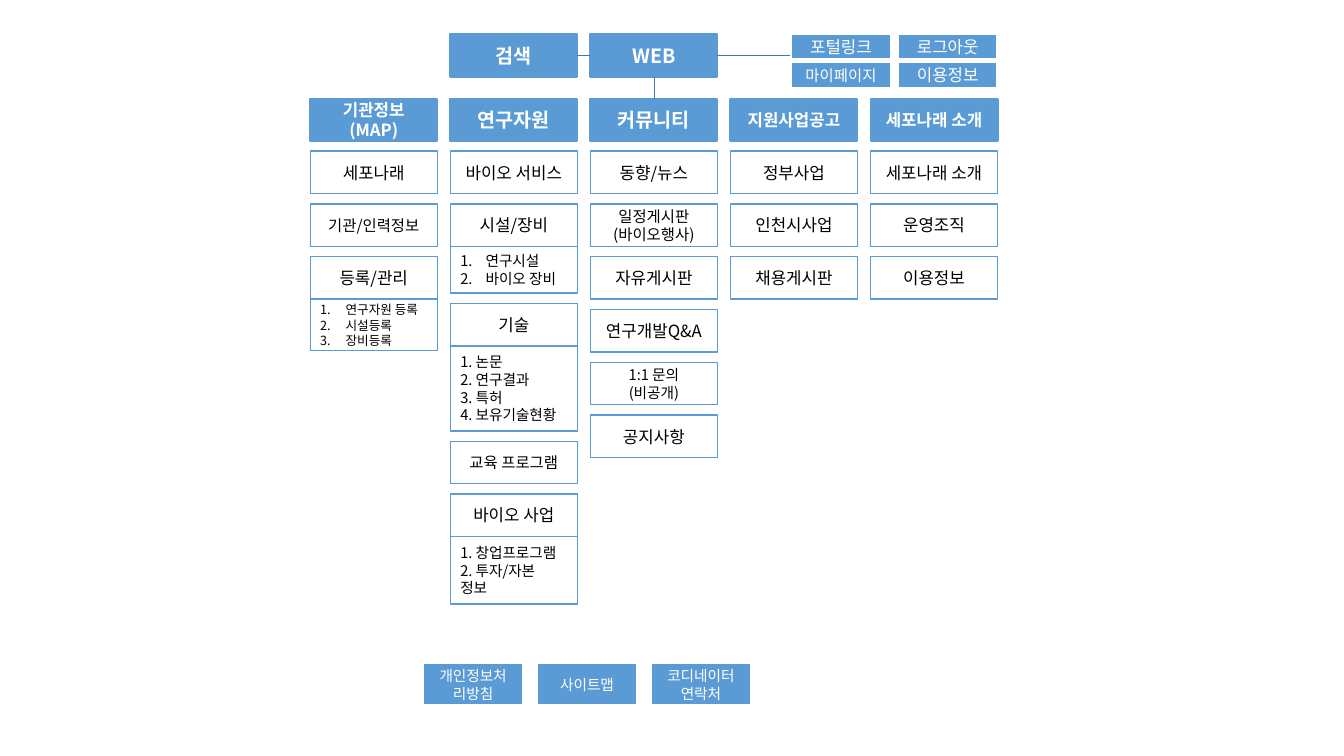
from lxml.etree import SubElement
from pptx import Presentation
from pptx.dml.color import RGBColor
from pptx.enum.shapes import MSO_CONNECTOR, MSO_SHAPE
from pptx.enum.text import MSO_ANCHOR, PP_ALIGN
from pptx.oxml.ns import qn
from pptx.util import Cm, Pt

FONT = "Noto Sans CJK KR"
COLORS = {"blue": "5B9BD5", "white": "FFFFFF", "black": "000000", "link": "4472C4"}

# Each box: (lines, text size); each list: (lines, text size, height, numbered)
ROOTS = [("검색", 1), ("WEB", 2)]
COLUMNS = [
    (("기관정보(MAP)", 12), [
        (["세포나래"], 12, None),
        (["기관/인력정보"], 11, None),
        (["등록/관리"], 12, (["연구자원 등록", "시설등록", "장비등록"], 9, 1.3, True)),
    ]),
    (("연구자원", 14), [
        (["바이오 서비스"], 12, None),
        (["시설/장비"], 12, (["연구시설", "바이오 장비"], 10.5, 1.18, True)),
        (["기술"], 12, (["1. 논문", "2. 연구결과", "3. 특허", "4. 보유기술현황"],
                      10.5, 2.14, False)),
        (["교육 프로그램"], 11, None),
        (["바이오 사업"], 12, (["1. 창업프로그램", "2. 투자/자본", "정보"], 10.5, 1.7, False)),
    ]),
    (("커뮤니티", 14), [
        (["동향/뉴스"], 12, None),
        (["일정게시판", "(바이오행사)"], 11, None),
        (["자유게시판"], 12, None),
        (["연구개발Q&A"], 12, None),
        (["1:1 문의", "(비공개)"], 10.5, None),
        (["공지사항"], 12, None),
    ]),
    (("지원사업공고", 12), [
        (["정부사업"], 12, None),
        (["인천시사업"], 12, None),
        (["채용게시판"], 12, None),
    ]),
    (("세포나래 소개", 12), [
        (["세포나래 소개"], 12, None),
        (["운영조직"], 12, None),
        (["이용정보"], 12, None),
    ]),
]
USER_MENU = [[("포털링크", 12), ("로그아웃", 12)],
             [("마이페이지", 11), ("이용정보", 12)]]
FOOTER = [["개인정보처리방침"], ["사이트맵"], ["코디네이터", "연락처"]]

# Lengths in centimetres
BOX_W, BOX_H, GAP = 3.2, 1.07, 0.26
COLUMN_LEFT, COLUMN_PITCH = 7.82, 3.53
ROOT_TOP, HEAD_TOP, ITEM_TOP = 0.86, 2.49, 3.81
BUTTON_W, BUTTON_H = 2.51, 0.64
MENU_LEFT, MENU_PITCH_X, MENU_PITCH_Y = 19.94, 2.69, 0.71
FOOTER_LEFT, FOOTER_TOP, FOOTER_PITCH = 10.67, 16.71, 2.87

# Look of each kind of box: fill, outline, outline width, text colour, bold
STYLES = {
    "head": ("blue", "blue", 1.5, "white", True),
    "item": ("white", "blue", 1, "black", False),
    "button": ("blue", "white", 1.5, "white", False),
}


def rgb(name):
    return RGBColor.from_string(COLORS[name])


def number_paragraph(paragraph):
    properties = paragraph._p.get_or_add_pPr()
    properties.set("marL", str(Cm(0.64)))
    properties.set("indent", str(-Cm(0.64)))
    SubElement(properties, qn("a:buFont"), typeface="+mj-lt")
    SubElement(properties, qn("a:buAutoNum"), type="arabicPeriod")


def add_box(slide, style, place, lines, size, align=PP_ALIGN.CENTER, numbered=False):
    """Draw a styled rectangle; place is left, top, width, height in cm."""
    fill, outline, weight, ink, bold = STYLES[style]
    box = slide.shapes.add_shape(MSO_SHAPE.RECTANGLE, *map(Cm, place))
    box.shadow.inherit = False
    box.fill.solid()
    box.fill.fore_color.rgb = rgb(fill)
    box.line.color.rgb = rgb(outline)
    box.line.width = Pt(weight)
    frame = box.text_frame
    frame.word_wrap = True
    frame.vertical_anchor = MSO_ANCHOR.MIDDLE
    for i, line in enumerate(lines):
        paragraph = frame.add_paragraph() if i else frame.paragraphs[0]
        paragraph.alignment = align
        if numbered:
            number_paragraph(paragraph)
        run = paragraph.add_run()
        run.text = line
        run.font.name = FONT
        run.font.size = Pt(size)
        run.font.bold = bold
        run.font.color.rgb = rgb(ink)
        SubElement(run._r.get_or_add_rPr(), qn("a:ea"), typeface=FONT)
    return box


def add_link(slide, start, start_side, end=None, end_side=None, end_point=(0, 0)):
    """Join two boxes, or run from one box to a free end point."""
    link = slide.shapes.add_connector(MSO_CONNECTOR.STRAIGHT, 0, 0, *end_point)
    link.begin_connect(start, start_side)
    if end is not None:
        link.end_connect(end, end_side)
    link.line.color.rgb = rgb("link")
    link.line.width = Pt(0.5)
    SubElement(link._element.spPr, qn("a:effectLst"))


def column_left(index):
    return COLUMN_LEFT + index * COLUMN_PITCH


def add_column(slide, index, heading, items):
    """Draw a heading with its items stacked below, and return the heading."""
    left = column_left(index)
    title, size = heading
    head = add_box(slide, "head", (left, HEAD_TOP, BOX_W, BOX_H), [title], size)
    top = ITEM_TOP
    for lines, size, details in items:
        add_box(slide, "item", (left, top, BOX_W, BOX_H), lines, size)
        top += BOX_H
        if details:
            entries, entry_size, height, numbered = details
            add_box(slide, "item", (left, top, BOX_W, height), entries, entry_size,
                    PP_ALIGN.LEFT, numbered)
            top += height
        top += GAP
    return head


def main():
    prs = Presentation()
    prs.slide_width, prs.slide_height = Cm(33.87), Cm(19.05)
    slide = prs.slides.add_slide(prs.slide_layouts[6])

    search, web = [
        add_box(slide, "head", (column_left(column), ROOT_TOP, BOX_W, BOX_H), [label], 14)
        for label, column in ROOTS
    ]
    heads = [add_column(slide, i, *column) for i, column in enumerate(COLUMNS)]

    add_link(slide, search, 3, web, 1)
    add_link(slide, web, 2, heads[2], 0)
    add_link(slide, web, 3, end_point=(Cm(MENU_LEFT), web.top + web.height // 2))

    for r, row in enumerate(USER_MENU):
        for c, (label, size) in enumerate(row):
            place = (MENU_LEFT + c * MENU_PITCH_X, ROOT_TOP + r * MENU_PITCH_Y,
                     BUTTON_W, BUTTON_H)
            add_box(slide, "button", place, [label], size)

    for i, lines in enumerate(FOOTER):
        place = (FOOTER_LEFT + i * FOOTER_PITCH, FOOTER_TOP, BUTTON_W, BOX_H)
        add_box(slide, "button", place, lines, 10.5)

    prs.save("out.pptx")


if __name__ == "__main__":
    main()
